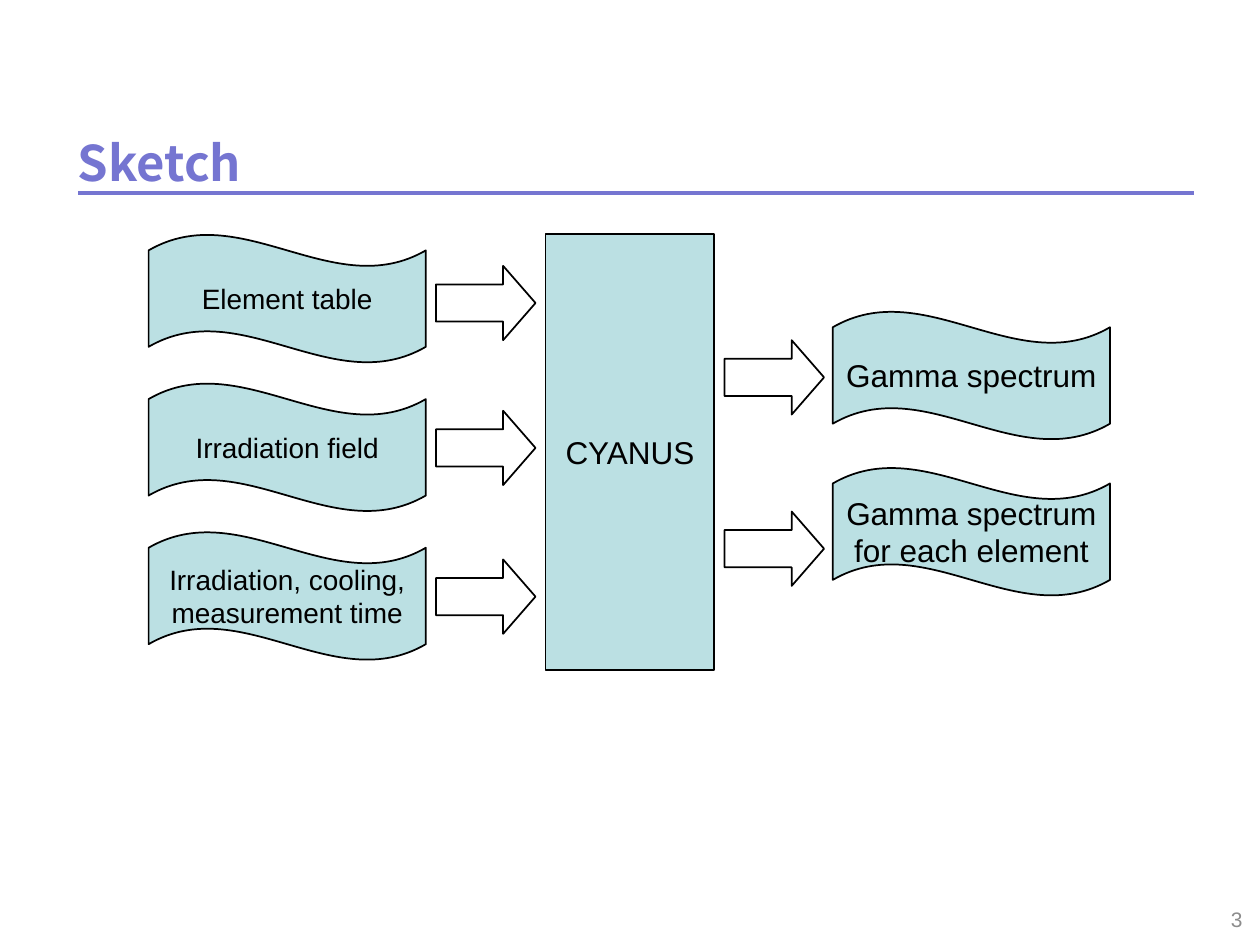
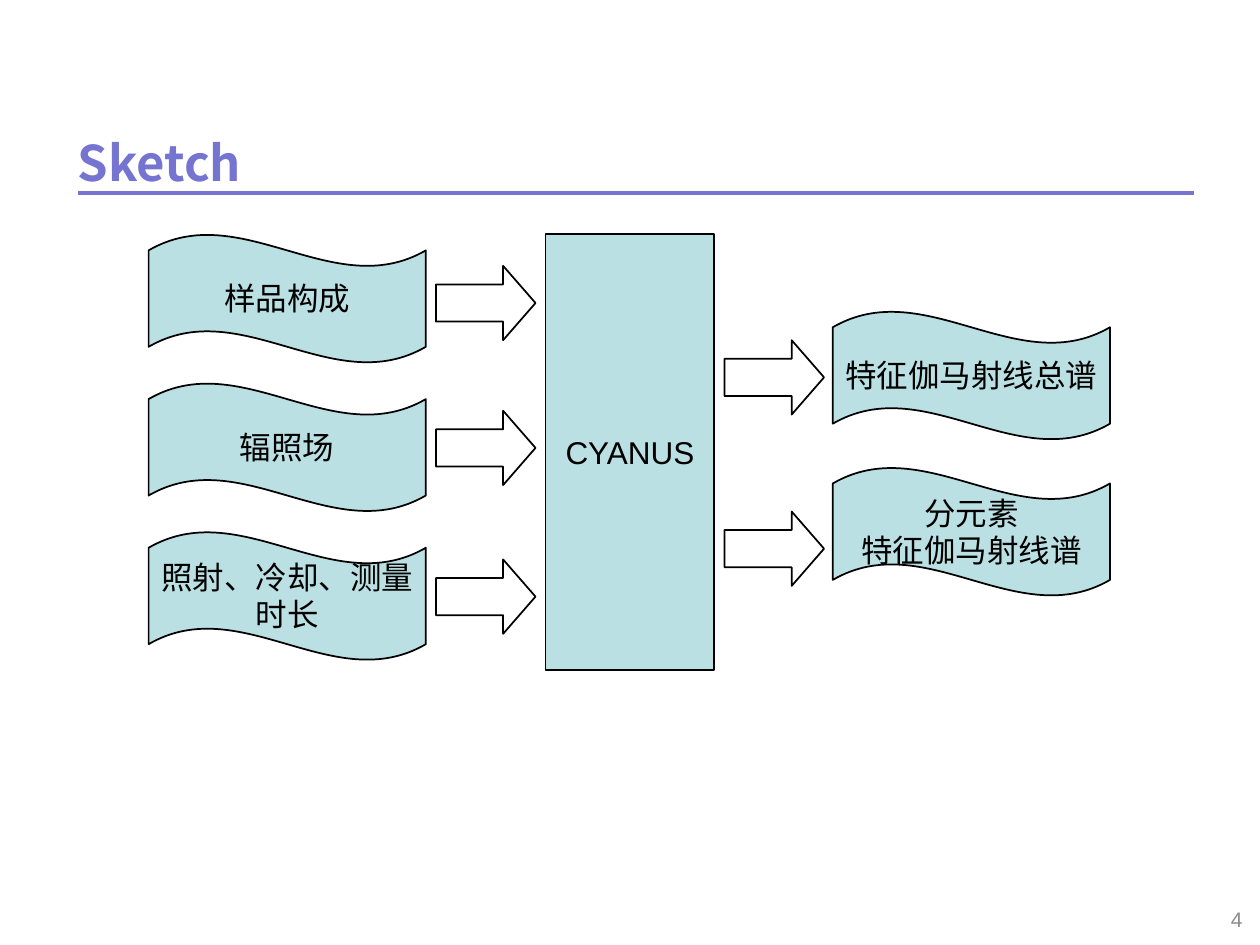
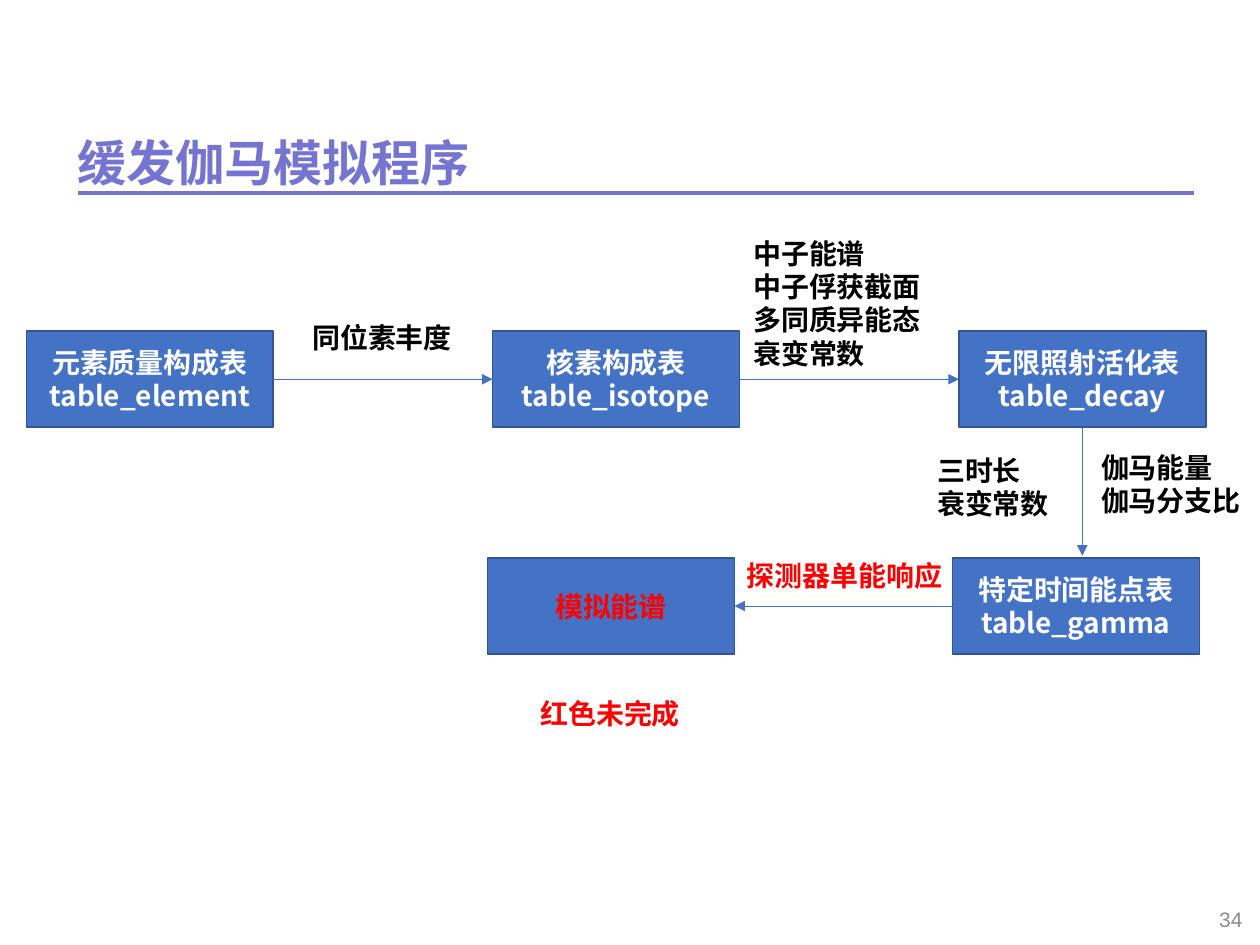
from dataclasses import dataclass

from lxml import etree
from pptx import Presentation
from pptx.dml.color import RGBColor
from pptx.enum.shapes import MSO_CONNECTOR, MSO_SHAPE
from pptx.enum.text import MSO_ANCHOR, MSO_AUTO_SIZE, PP_ALIGN
from pptx.oxml.ns import qn
from pptx.util import Inches, Pt

STRAIGHT = MSO_CONNECTOR.STRAIGHT
WAVE, RECT, ARROW = MSO_SHAPE.WAVE, MSO_SHAPE.RECTANGLE, MSO_SHAPE.RIGHT_ARROW
LEFT, CENTER, RIGHT = PP_ALIGN.LEFT, PP_ALIGN.CENTER, PP_ALIGN.RIGHT
MIDDLE, TOP = MSO_ANCHOR.MIDDLE, MSO_ANCHOR.TOP
TOP_SIDE, LEFT_SIDE, BOTTOM_SIDE, RIGHT_SIDE = range(4)


@dataclass(frozen=True)
class Theme:
    title: str = "7575D1"
    number: str = "8C8C8C"
    black: str = "000000"
    white: str = "FFFFFF"
    pending: str = "FF0000"
    sketch_fill: str = "BBE0E3"
    flow_fill: str = "4472C4"
    flow_line: str = "325491"
    latin: str = "Arial"
    cjk: str = "Noto Sans CJK SC"
    title_size: int = 28
    large: int = 18
    body: int = 16
    small: int = 12
    line_pitch: float = 1.18


T = Theme()


def rgb(value):
    return RGBColor.from_string(value)


def write(tf, lines, size, color, font=T.latin, bold=False, align=LEFT, anchor=MIDDLE):
    tf.vertical_anchor = anchor
    for i, line in enumerate(lines):
        p = tf.paragraphs[0] if i == 0 else tf.add_paragraph()
        p.add_run().text = line
        p.alignment = align
        p.line_spacing = Pt(round(size * T.line_pitch))
        p.font.size = Pt(size)
        p.font.bold = bold
        p.font.name = font
        p.font.color.rgb = rgb(color)
        latin = p._p.pPr.find(qn("a:defRPr")).find(qn("a:latin"))
        east_asian = etree.Element(qn("a:ea"), typeface=T.cjk)
        latin.addnext(east_asian)


def add_text(s, x, y, w, h, lines, size, color, wrap=True, **style):
    tf = s.shapes.add_textbox(Inches(x), Inches(y), Inches(w), Inches(h)).text_frame
    tf.word_wrap = wrap
    if not wrap:
        tf.auto_size = MSO_AUTO_SIZE.SHAPE_TO_FIT_TEXT
    write(tf, lines, size, color, **style)


def add_box(s, kind, x, y, w, h, fill=None, line=T.black):
    sp = s.shapes.add_shape(kind, Inches(x), Inches(y), Inches(w), Inches(h))
    sp.shadow.inherit = False
    if fill:
        sp.fill.solid()
        sp.fill.fore_color.rgb = rgb(fill)
    else:
        sp.fill.background()
    sp.line.color.rgb = rgb(line)
    sp.line.width = Pt(1)
    sp.text_frame.word_wrap = True
    return sp


def add_line(s, x1, y1, x2, y2, color, width):
    c = s.shapes.add_connector(STRAIGHT, Inches(x1), Inches(y1), Inches(x2), Inches(y2))
    c.line.color.rgb = rgb(color)
    c.line.width = Pt(width)
    etree.SubElement(c._element.spPr, qn("a:effectLst"))
    return c


def add_slide(prs, title, number):
    s = prs.slides.add_slide(prs.slide_layouts[6])
    add_line(s, 0.62, 1.53, 9.48, 1.53, T.title, 2)
    add_text(s, 0.52, 0.99, 9.01, 0.59, [title], T.title_size, T.title,
             font=T.cjk, bold=True)
    add_text(s, 7.71, 7.1, 2.25, 0.4, [str(number)], T.small, T.number, align=RIGHT)
    return s


def sketch(s, x, y, inputs, outputs, input_size):
    """Inputs on the left feed the program, which yields the outputs on the right."""

    def wave(dx, dy, lines, size):
        sp = add_box(s, WAVE, x + dx, y + dy, 2.2, 1.02, T.sketch_fill)
        tf = sp.text_frame
        tf.margin_left = tf.margin_right = Inches(0.08)
        write(tf, lines, size, T.black, align=CENTER)

    def block_arrow(dx, dy):
        sp = add_box(s, ARROW, x + dx, y + dy, 0.79, 0.59)
        sp.adjustments[1] = 0.435

    for i, (lines, arrow_dy) in enumerate(zip(inputs, (0.25, 1.4, 2.58))):
        wave(0, i * 1.18, lines, input_size)
        block_arrow(2.28, arrow_dy)
    program = add_box(s, RECT, x + 3.15, y, 1.34, 3.46, T.sketch_fill)
    write(program.text_frame, ["CYANUS"], T.large, T.black, align=CENTER)
    for i, (lines, arrow_dy) in enumerate(zip(outputs, (0.84, 2.2))):
        block_arrow(4.57, arrow_dy)
        wave(5.43, 0.61 + i * 1.24, lines, T.large)


def flow(s, x, y):
    """Tables joined by arrows: three across the top, two back along the bottom."""

    def table_box(dx, dy, lines, color=T.white):
        sp = add_box(s, RECT, x + dx, y + dy, 1.96, 0.76, T.flow_fill, T.flow_line)
        write(sp.text_frame, lines, T.body, color, font=T.cjk, bold=True, align=CENTER)
        return sp

    def arrow(start, start_side, end=None, end_side=None, tip=(0, 0)):
        c = add_line(s, x, y, x + tip[0], y + tip[1], T.flow_fill, 0.5)
        c.begin_connect(start, start_side)
        if end is not None:
            c.end_connect(end, end_side)
        etree.SubElement(c.line._get_or_add_ln(), qn("a:tailEnd"), type="triangle")

    def label(dx, dy, w, h, lines, color=T.black):
        add_text(s, x + dx, y + dy, w, h, lines, T.body, color, wrap=False,
                 font=T.cjk, bold=True, anchor=TOP)

    element, isotope, decay = [
        table_box(i * 3.7, 0, lines) for i, lines in enumerate((
            ["元素质量构成表", "table_element"],
            ["核素构成表", "table_isotope"],
            ["无限照射活化表", "table_decay"],
        ))
    ]
    gamma = table_box(7.35, 1.8, ["特定时间能点表", "table_gamma"])
    spectrum = table_box(3.66, 1.8, ["模拟能谱"], T.pending)

    arrow(element, RIGHT_SIDE, isotope, LEFT_SIDE)
    arrow(isotope, RIGHT_SIDE, decay, LEFT_SIDE)
    arrow(decay, BOTTOM_SIDE, tip=(8.38, 1.78))
    arrow(gamma, LEFT_SIDE, spectrum, RIGHT_SIDE)

    label(2.17, -0.13, 1.32, 0.37, ["同位素丰度"])
    label(5.67, -0.8, 1.55, 1.18,
          ["中子能谱", "中子俘获截面", "多同质异能态", "衰变常数"])
    label(7.13, 0.92, 1.1, 0.64, ["三时长", "衰变常数"])
    label(8.43, 0.9, 1.32, 0.64, ["伽马能量", "伽马分支比"])
    label(5.62, 1.76, 1.77, 0.37, ["探测器单能响应"], T.pending)
    label(3.98, 2.85, 1.32, 0.37, ["红色未完成"], T.pending)


def main():
    prs = Presentation()
    prs.slide_width, prs.slide_height = Inches(10), Inches(7.5)

    sketch(add_slide(prs, "Sketch", 3), 1.18, 1.86,
           [["Element table"], ["Irradiation field"],
            ["Irradiation, cooling, measurement time"]],
           [["Gamma spectrum"], ["Gamma spectrum for each element"]], T.body)
    sketch(add_slide(prs, "Sketch", 4), 1.18, 1.86,
           [["样品构成"], ["辐照场"], ["照射、冷却、测量时长"]],
           [["特征伽马射线总谱"], ["分元素", "特征伽马射线谱"]], T.large)
    flow(add_slide(prs, "缓发伽马模拟程序", 34), 0.21, 2.63)

    prs.save("out.pptx")


if __name__ == "__main__":
    main()
